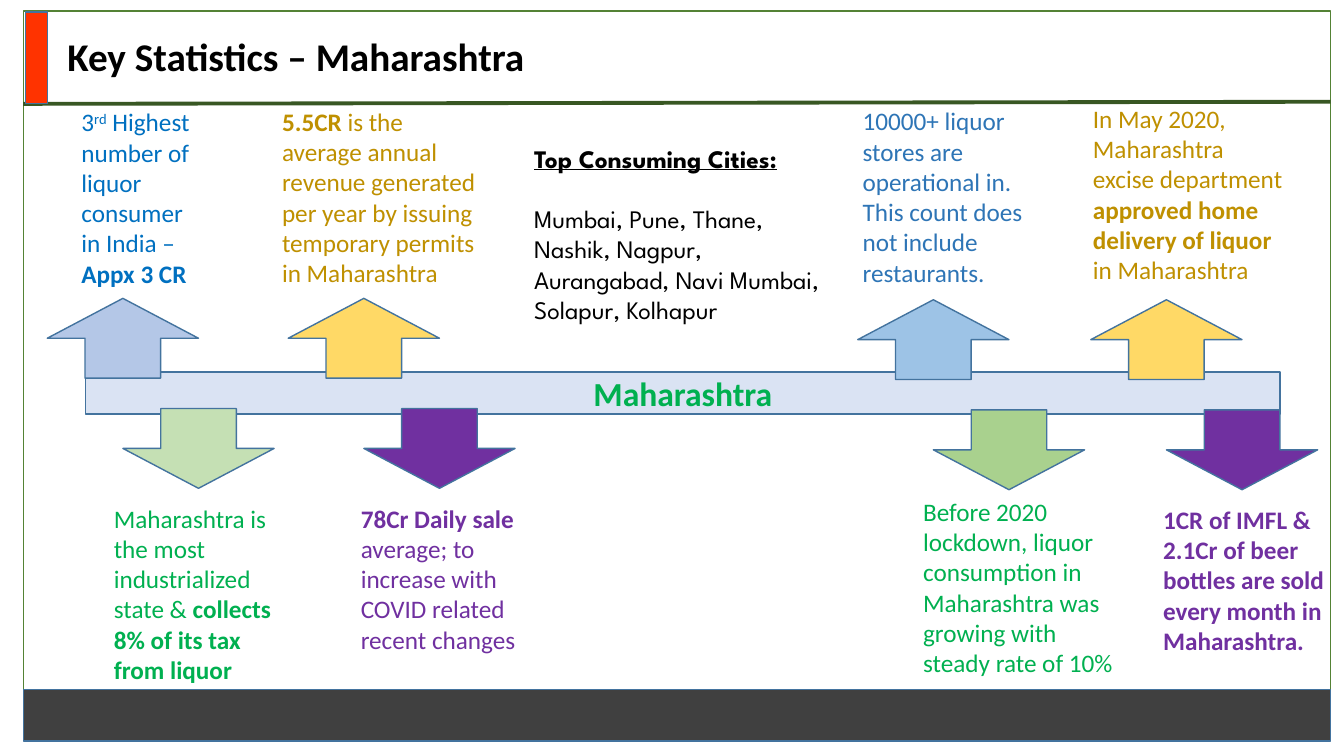
from pptx import Presentation
from pptx.dml.color import RGBColor
from pptx.enum.shapes import MSO_CONNECTOR, MSO_SHAPE
from pptx.enum.text import MSO_ANCHOR, MSO_AUTO_SIZE, PP_ALIGN
from pptx.oxml.ns import qn
from pptx.util import Pt
from lxml import etree

RECT, UP_ARROW = MSO_SHAPE.RECTANGLE, MSO_SHAPE.UP_ARROW
STRAIGHT = MSO_CONNECTOR.STRAIGHT
CENTER, LEFT = PP_ALIGN.CENTER, PP_ALIGN.LEFT
TOP, MIDDLE = MSO_ANCHOR.TOP, MSO_ANCHOR.MIDDLE
NO_AUTOFIT = MSO_AUTO_SIZE.NONE
TITLE_ONLY = 5

ARROW_W, ARROW_H = 108, 57
DOWN_DX, DOWN_DY = 54, 78.7

ARROW_PAIRS = [
    (33.8, 213.1, "B4C7E7", "C5E0B4"),
    (205.9, 213.1, "FFD966", "7030A0"),
    (612.7, 214.1, "9DC3E6", "A9D18E"),
    (779.2, 214.1, "FFD966", "7030A0"),
]

BOLD = {"bold": True}
FACTS = [
    ((51.1, 72.7, 103.7, 138), "0070C0", [[
        ("3", {}), ("rd", {"baseline": 30}),
        (" Highest number of liquor consumer in India – ", {}),
        ("Appx 3 CR", BOLD)]]),
    ((194.4, 72.4, 154.1, 138), "BF9000", [
        [("5.5CR ", BOLD), ("is the average annual revenue generated per "
                            "year by issuing temporary permits", {})],
        [("in Maharashtra", {})]]),
    ((609.1, 72, 148.3, 138), "2E75B6", [[
        ("10000+ liquor stores are operational in. This count does not "
         "include restaurants.", {})]]),
    ((773.6, 70.2, 154.1, 138), "BF9000", [
        [("In May 2020, Maharashtra excise department ", {}),
         ("approved home delivery of liquor", BOLD)],
        [("in Maharashtra", {})]]),
    ((74.2, 355.7, 138.2, 138), "00B050", [[
        ("Maharashtra is the most industrialized state & ", {}),
        ("collects 8% of its tax from liquor", BOLD)]]),
    ((250.6, 355.7, 136.1, 117), "7030A0", [[
        ("78Cr Daily sale ", BOLD),
        ("average; to increase with COVID related recent changes", {})]]),
    ((652.3, 350.9, 157, 138), "00B050", [[
        ("Before 2020 lockdown, liquor consumption in Maharashtra was "
         "growing with steady rate of 10%", {})]]),
    ((823.7, 356.6, 136.1, 117), "7030A0", [[
        ("1CR of IMFL & 2.1Cr of beer bottles are sold every month in "
         "Maharashtra.", BOLD)]]),
]
CITIES = [
    [("Top Consuming Cities:", {"bold": True, "underline": True})],
    [("Mumbai, Pune, Thane, Nashik, Nagpur, Aurangabad, Navi Mumbai, "
      "Solapur, Kolhapur", {})],
]


def rgb(value):
    """Turn a hex string into a colour."""
    return RGBColor.from_string(value)


def add_run(p, text, size=18, font="Calibri", color="000000", bold=False,
            underline=False, baseline=0):
    """Add formatted text to a paragraph."""
    r = p.add_run()
    r.text = text
    r.font.size, r.font.name = Pt(size), font
    r.font.bold, r.font.underline = bold, underline
    r.font.color.rgb = rgb(color)
    if baseline:
        r._r.get_or_add_rPr().set("baseline", str(baseline * 1000))


class Deck:
    """Hold the style and the current slide."""

    outline = "43739E"

    def __init__(self, width, height):
        """Start a presentation with one title-only slide."""
        self.prs = Presentation()
        self.prs.slide_width, self.prs.slide_height = Pt(width), Pt(height)
        self.s = self.prs.slides.add_slide(self.prs.slide_layouts[TITLE_ONLY])

    def title(self, box, text, **fmt):
        """Place and format the slide title."""
        sp = self.s.shapes.title
        sp.left, sp.top, sp.width, sp.height = map(Pt, box)
        tf = sp.text_frame
        tf.auto_size, tf.vertical_anchor = NO_AUTOFIT, TOP
        p = tf.paragraphs[0]
        p.alignment = LEFT
        add_run(p, text, **fmt)

    def shape(self, kind, box, fill=None, line=None, rotation=0):
        """Add an outlined shape, filled if a colour is given."""
        sp = self.s.shapes.add_shape(kind, *map(Pt, box))
        sp.shadow.inherit = False
        sp.rotation = rotation
        if fill:
            sp.fill.solid()
            sp.fill.fore_color.rgb = rgb(fill)
        else:
            sp.fill.background()
        sp.line.color.rgb, sp.line.width = rgb(line or self.outline), Pt(1)
        return sp

    def label(self, box, fill, text, **fmt):
        """Add a bar with centred text."""
        tf = self.shape(RECT, box, fill).text_frame
        tf.vertical_anchor = MIDDLE
        p = tf.paragraphs[0]
        p.alignment = CENTER
        add_run(p, text, **fmt)

    def text(self, box, paragraphs, gap=0, **fmt):
        """Add a wrapped text box with a gap between paragraphs."""
        tf = self.s.shapes.add_textbox(*map(Pt, box)).text_frame
        tf.word_wrap = True
        for i, runs in enumerate(paragraphs):
            p = tf.add_paragraph() if i else tf.paragraphs[0]
            p.space_before = Pt(gap if i else 0)
            for text, extra in runs:
                add_run(p, text, **{**fmt, **extra})

    def line(self, ends, color, width):
        """Add a straight line without a shadow."""
        cn = self.s.shapes.add_connector(STRAIGHT, *map(Pt, ends))
        cn.line.color.rgb, cn.line.width = rgb(color), Pt(width)
        etree.SubElement(cn._element.spPr, qn("a:effectLst"))


def main():
    """Build the slide and save it."""
    deck = Deck(960, 540)
    deck.title((41, 19.4, 687, 41), "Key Statistics – Maharashtra",
               size=28, bold=True)
    deck.shape(RECT, (16.6, 7.9, 933.8, 521.3), line="548235")
    deck.line((16.6, 74.2, 950.4, 72.7), "385723", 2.75)
    deck.shape(RECT, (18, 8.6, 15.8, 65.5), "FF3300")
    deck.shape(RECT, (16.6, 492.5, 933.8, 36.7), "404040")
    deck.label((61.2, 265.7, 853.2, 30.2), "DAE3F3", "Maharashtra",
               size=24, color="00B050", bold=True)
    for x, y, up, down in ARROW_PAIRS:
        deck.shape(UP_ARROW, (x, y, ARROW_W, ARROW_H), up)
        deck.shape(UP_ARROW, (x + DOWN_DX, y + DOWN_DY, ARROW_W, ARROW_H),
                   down, rotation=180)
    for box, color, paragraphs in FACTS:
        deck.text(box, paragraphs, color=color)
    deck.text((374.4, 98.6, 221.8, 160), CITIES, gap=21.6,
              font="League Spartan")
    deck.prs.save("out.pptx")


if __name__ == "__main__":
    main()
